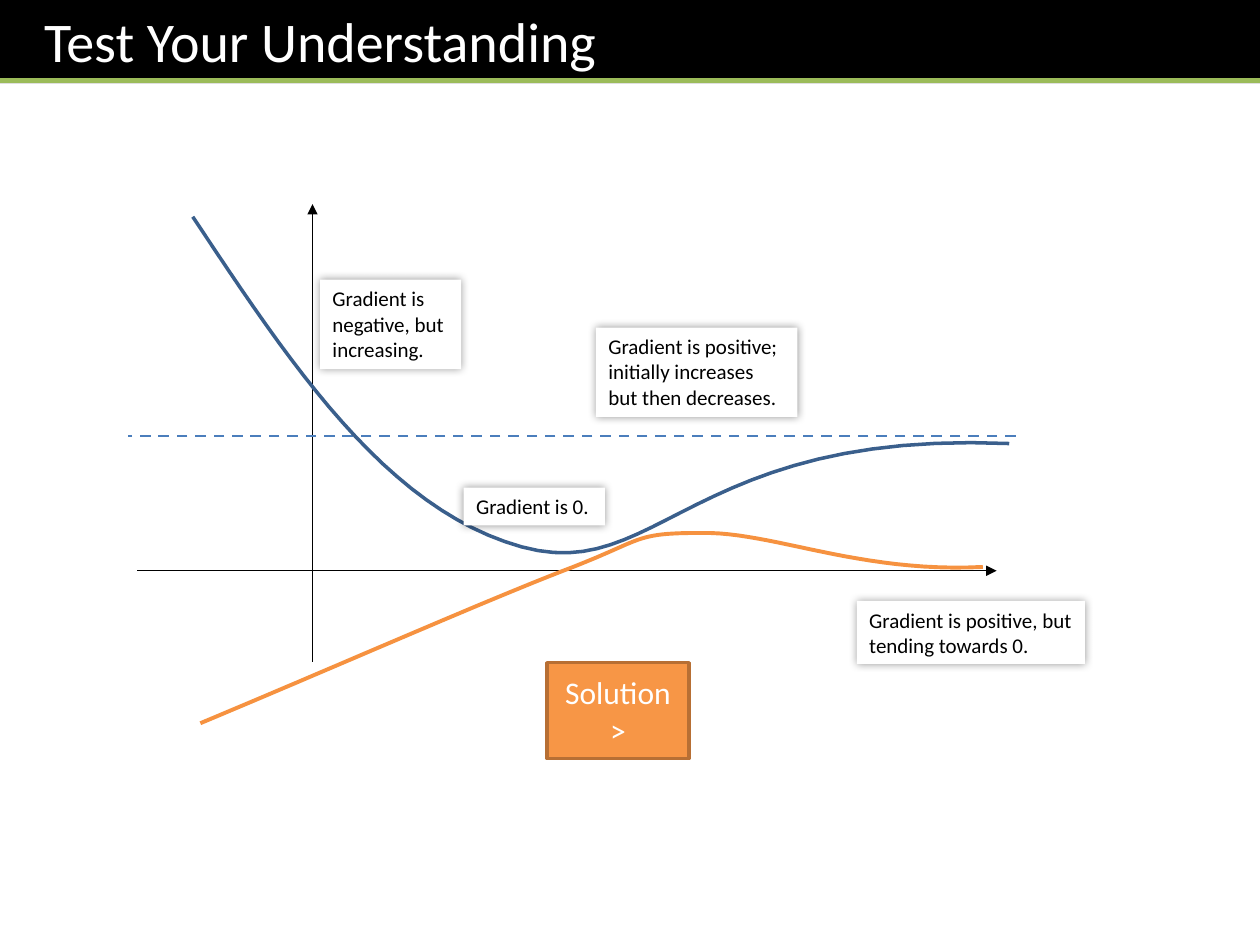
from lxml.etree import SubElement
from pptx import Presentation
from pptx.dml.color import RGBColor
from pptx.enum.dml import MSO_LINE
from pptx.enum.shapes import MSO_CONNECTOR, MSO_SHAPE
from pptx.enum.text import MSO_ANCHOR, PP_ALIGN
from pptx.oxml.ns import qn
from pptx.util import Inches, Pt

COLS, ROWS = 10, 7.5
STEPS = 24
TITLE = "Test Your Understanding"
BUTTON = ("Solution >", (4.34, 5.26, 1.13, 0.76))
NOTES = [
    ("Gradient is negative, but increasing.", (2.54, 2.22, 1.12, 0.71)),
    ("Gradient is 0.", (3.68, 3.87, 1.12, 0.3)),
    ("Gradient is positive; initially increases but then decreases.", (4.73, 2.6, 1.6, 0.71)),
    ("Gradient is positive, but tending towards 0.", (6.8, 4.77, 1.81, 0.5)),
]
AXES = [((2.48, 5.25), (2.48, 1.62)), ((1.09, 4.53), (7.91, 4.53))]
LIMIT = ((8.06, 3.46), (1.02, 3.46))
CURVES = [
    ("3A5F8C", 2, [(1.53, 1.72), (2.3, 2.88), (3.06, 4.04), (4.14, 4.34),
                   (5.22, 4.64), (5.49, 3.41), (8.01, 3.52)]),
    ("F69240", 2.25, [(1.59, 5.74), (2.55, 5.34), (3.8, 4.79), (4.47, 4.53),
                      (5.13, 4.28), (5.01, 4.23), (5.57, 4.23),
                      (6.13, 4.22), (6.82, 4.55), (7.8, 4.5)]),
]


def paint(hue):
    return RGBColor.from_string(hue)


def stroke(line, hue, width):
    line.color.rgb = paint(hue)
    line.width = Pt(width)


def box(parent, text, place, fill, ink, size, edge=None, align=PP_ALIGN.LEFT,
        anchor=MSO_ANCHOR.TOP, inset=0.1):
    shape = parent.add_shape(MSO_SHAPE.RECTANGLE, *map(Inches, place))
    shape.shadow.inherit = False
    shape.fill.solid()
    shape.fill.fore_color.rgb = paint(fill)
    if edge:
        stroke(shape.line, *edge)
    else:
        shape.line.fill.background()
    frame = shape.text_frame
    look = {"word_wrap": True, "vertical_anchor": anchor, "margin_left": Inches(inset)}
    for key, value in look.items():
        setattr(frame, key, value)
    para = frame.paragraphs[0]
    para.alignment = align
    run = para.add_run()
    run.text = text
    for key, value in {"name": "Calibri", "size": Pt(size)}.items():
        setattr(run.font, key, value)
    run.font.color.rgb = paint(ink)
    return shape


def glow(shape):
    effect = shape._element.spPr.find(qn("a:effectLst"))
    shade = SubElement(effect, qn("a:outerShdw"), blurRad=str(Pt(5)), dist="0",
                       dir="0", algn="ctr", rotWithShape="0")
    tone = SubElement(shade, qn("a:srgbClr"), val="000000")
    SubElement(tone, qn("a:alpha"), val="40000")


def rule(parent, start, end, hue, width, dash=None, arrow=False):
    link = parent.add_connector(MSO_CONNECTOR.STRAIGHT, *map(Inches, start + end))
    stroke(link.line, hue, width)
    if dash:
        link.line.dash_style = dash
    props = link._element.spPr
    if arrow:
        SubElement(props.find(qn("a:ln")), qn("a:tailEnd"), type="triangle")
    SubElement(props, qn("a:effectLst"))


def blend(knots, t):
    u = 1 - t
    parts = (u ** 3, 3 * u * u * t, 3 * u * t * t, t ** 3)
    return tuple(Inches(sum(w * k[i] for w, k in zip(parts, knots))) for i in (0, 1))


def curve(parent, hue, width, knots):
    dots = [blend(knots[i:i + 4], step / STEPS)
            for i in range(0, len(knots) - 1, 3) for step in range(1, STEPS + 1)]
    path = parent.build_freeform(*map(Inches, knots[0]))
    path.add_line_segments(dots, close=False)
    shape = path.convert_to_shape()
    shape.shadow.inherit = False
    shape.fill.background()
    stroke(shape.line, hue, width)


def main():
    deck = Presentation()
    deck.slide_width, deck.slide_height = Inches(COLS), Inches(ROWS)
    shapes = deck.slides.add_slide(deck.slide_layouts[6]).shapes

    head = shapes.add_group_shape().shapes
    box(head, TITLE, (0, 0, COLS, 0.66), "000000", "FFFFFF", 32, inset=0.35)
    rule(head, (0, 0.64), (COLS, 0.64), "9BBB59", 3)

    for start, end in AXES:
        rule(shapes, start, end, "000000", 0.75, arrow=True)
    rule(shapes, *LIMIT, "4B7EBC", 1.5, dash=MSO_LINE.DASH)
    for hue, width, knots in CURVES:
        curve(shapes, hue, width, knots)

    box(shapes, *BUTTON, "F79646", "FFFFFF", 18, edge=("B76F34", 2),
        align=PP_ALIGN.CENTER, anchor=MSO_ANCHOR.MIDDLE)
    for text, place in NOTES:
        glow(box(shapes, text, place, "FFFFFF", "000000", 12))
    deck.save("out.pptx")


if __name__ == "__main__":
    main()
